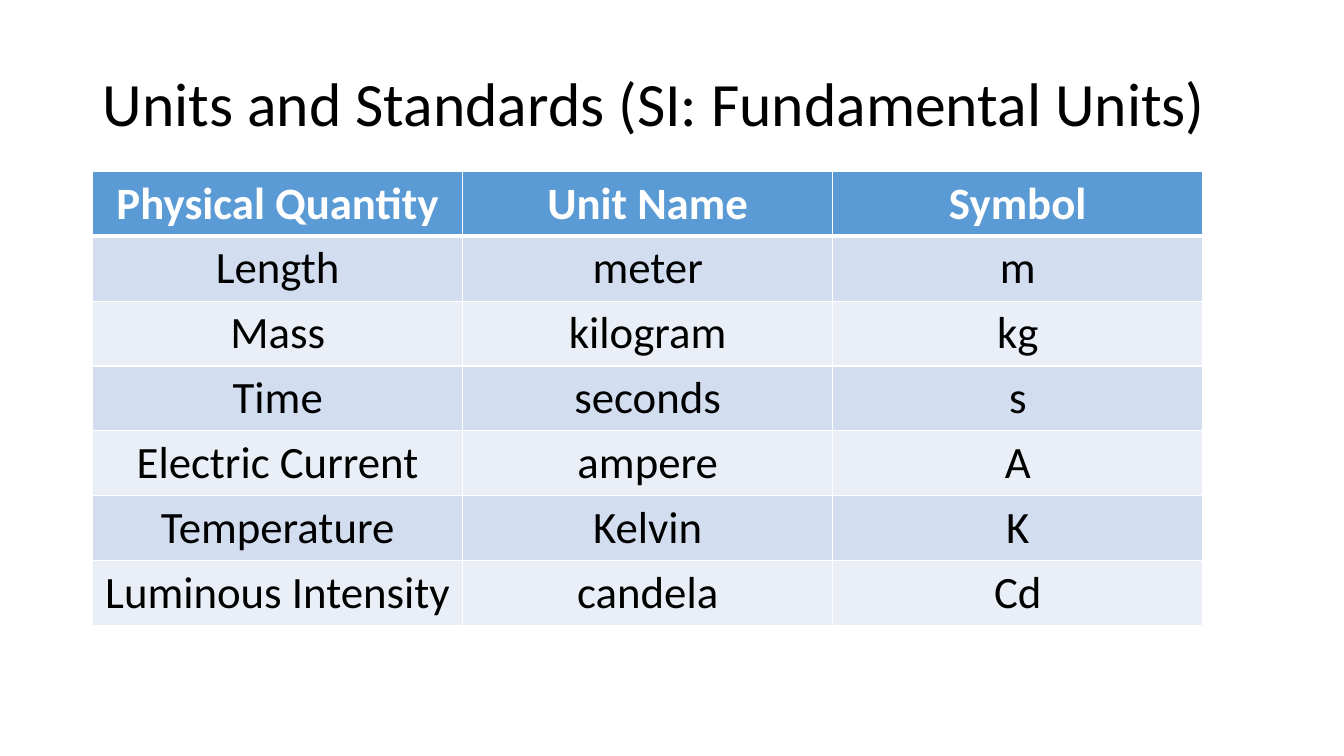
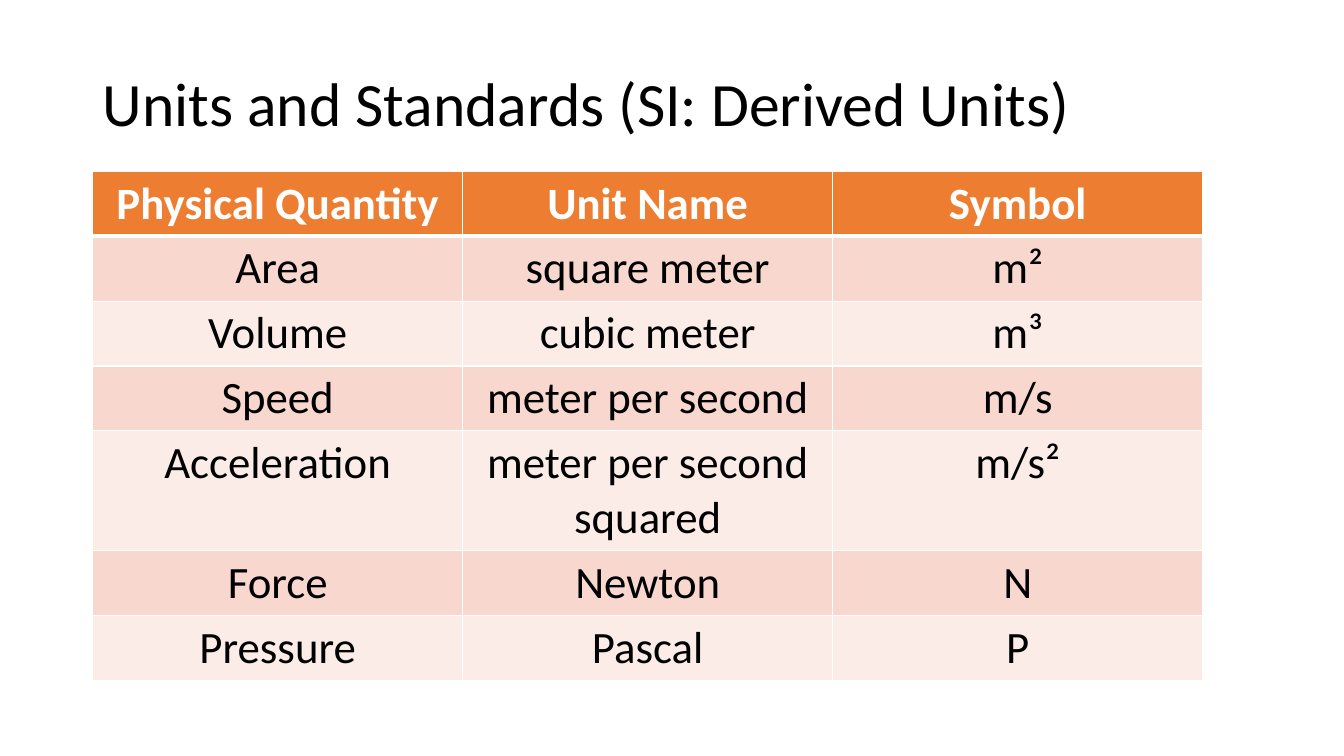
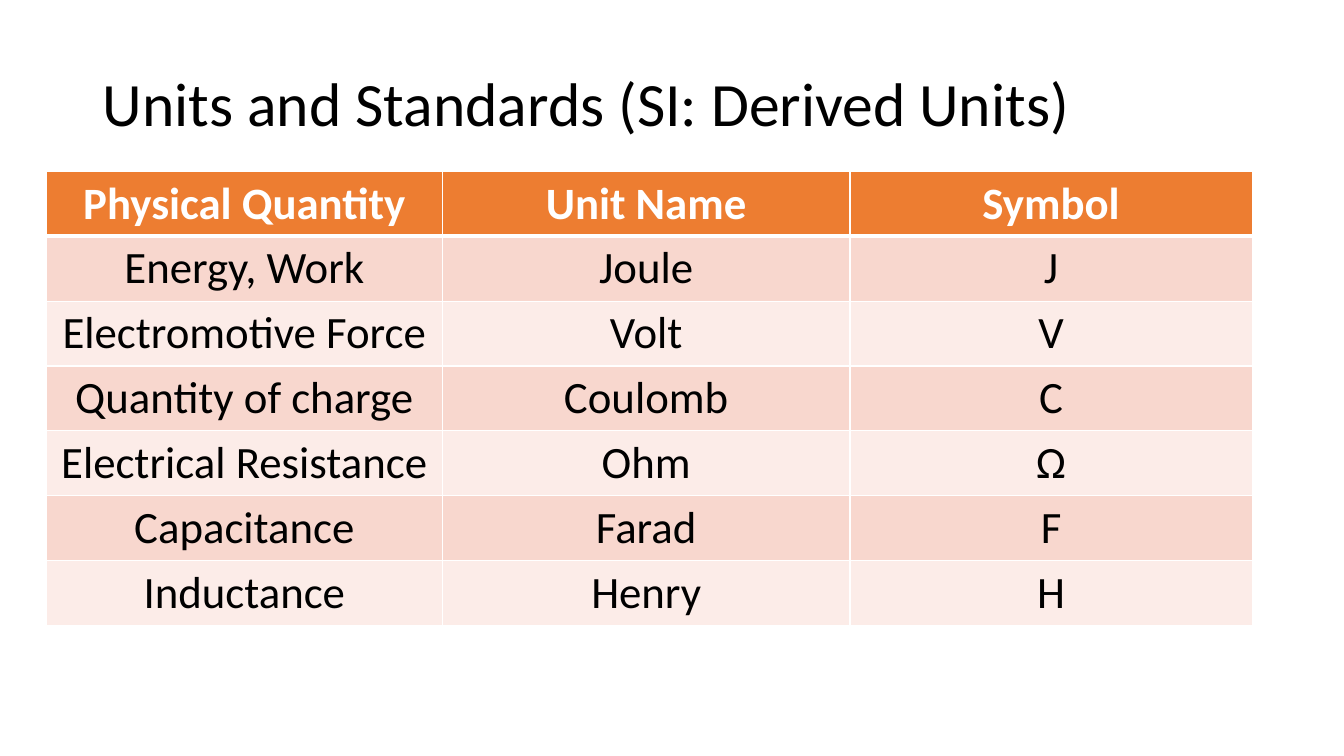
from lxml import etree
from pptx import Presentation
from pptx.dml.color import RGBColor
from pptx.enum.text import MSO_ANCHOR, PP_ALIGN
from pptx.oxml.ns import qn
from pptx.util import Inches, Pt

LEFT, CENTER = PP_ALIGN.LEFT, PP_ALIGN.CENTER
MIDDLE = MSO_ANCHOR.MIDDLE

FONT = "Calibri"
COLORS = {"text": "000000", "white": "FFFFFF"}
BLUE = {"header": "5B9BD5", "odd": "D2DEEF", "even": "EAEFF7"}
ORANGE = {"header": "ED7D31", "odd": "F8D7CE", "even": "FCECE8"}
HEADINGS = ("Physical Quantity", "Unit Name", "Symbol")
EQUAL_COLUMNS = (3.67, 3.67, 3.67)
ROW_HEIGHT = 0.62

# Title, palette, table left edge, column widths, rows
unit_tables = [
    ("Units and Standards (SI: Fundamental Units)", BLUE, 0.92, EQUAL_COLUMNS, [
        ("Length", "meter", "m"),
        ("Mass", "kilogram", "kg"),
        ("Time", "seconds", "s"),
        ("Electric Current", "ampere", "A"),
        ("Temperature", "Kelvin", "K"),
        ("Luminous Intensity", "candela", "Cd"),
    ]),
    ("Units and Standards (SI: Derived Units)", ORANGE, 0.92, EQUAL_COLUMNS, [
        ("Area", "square meter", "m²"),
        ("Volume", "cubic meter", "m³"),
        ("Speed", "meter per second", "m/s"),
        ("Acceleration", "meter per second squared", "m/s²"),
        ("Force", "Newton", "N"),
        ("Pressure", "Pascal", "P"),
    ]),
    ("Units and Standards (SI: Derived Units)", ORANGE, 0.46, (3.93, 4.04, 3.99), [
        ("Energy, Work", "Joule", "J"),
        ("Electromotive Force", "Volt", "V"),
        ("Quantity of charge", "Coulomb", "C"),
        ("Electrical Resistance", "Ohm", "Ω"),
        ("Capacitance", "Farad", "F"),
        ("Inductance", "Henry", "H"),
    ]),
]


def style_font(paragraph, size, color, bold=False):
    font = paragraph.font
    font.name, font.size, font.bold = FONT, Pt(size), bold
    font.color.rgb = RGBColor.from_string(color)


def add_borders(cell, top, bottom):
    properties = cell._tc.get_or_add_tcPr()
    for side, width in (("L", 1), ("R", 1), ("T", top), ("B", bottom)):
        line = etree.SubElement(properties, qn(f"a:ln{side}"), w=str(Pt(width)))
        fill = etree.SubElement(line, qn("a:solidFill"))
        etree.SubElement(fill, qn("a:srgbClr"), val=COLORS["white"])


prs = Presentation()
prs.slide_width, prs.slide_height = Inches(13.33), Inches(7.5)
title_only = prs.slide_layouts[5]

for heading, palette, left, widths, units in unit_tables:
    slide = prs.slides.add_slide(title_only)

    # Title, raised slightly by a deeper bottom inset
    title = slide.shapes.title
    title.left, title.top = Inches(0.92), Inches(0.4)
    title.width, title.height = Inches(11.5), Inches(1.45)
    title.text_frame.text = heading
    title.text_frame.vertical_anchor = MIDDLE
    title.text_frame.margin_bottom = Inches(0.19)
    title_line = title.text_frame.paragraphs[0]
    title_line.alignment = LEFT
    title_line.line_spacing = 0.9
    style_font(title_line, 44, COLORS["text"])

    # Table of units
    rows = [HEADINGS, *units]
    table = slide.shapes.add_table(
        len(rows), len(widths), Inches(left), Inches(1.7),
        Inches(sum(widths)), Inches(ROW_HEIGHT * len(rows))).table
    for column, width in zip(table.columns, widths):
        column.width = Inches(width)

    for r, row in enumerate(rows):
        is_header = r == 0
        band = "header" if is_header else "odd" if r % 2 else "even"
        for c, wording in enumerate(row):
            cell = table.cell(r, c)
            add_borders(cell, top=3 if r == 1 else 1, bottom=3 if is_header else 1)
            cell.fill.solid()
            cell.fill.fore_color.rgb = RGBColor.from_string(palette[band])
            cell.text = wording
            entry = cell.text_frame.paragraphs[0]
            entry.alignment = CENTER
            style_font(entry, 32, COLORS["white" if is_header else "text"], is_header)

prs.save("out.pptx")
